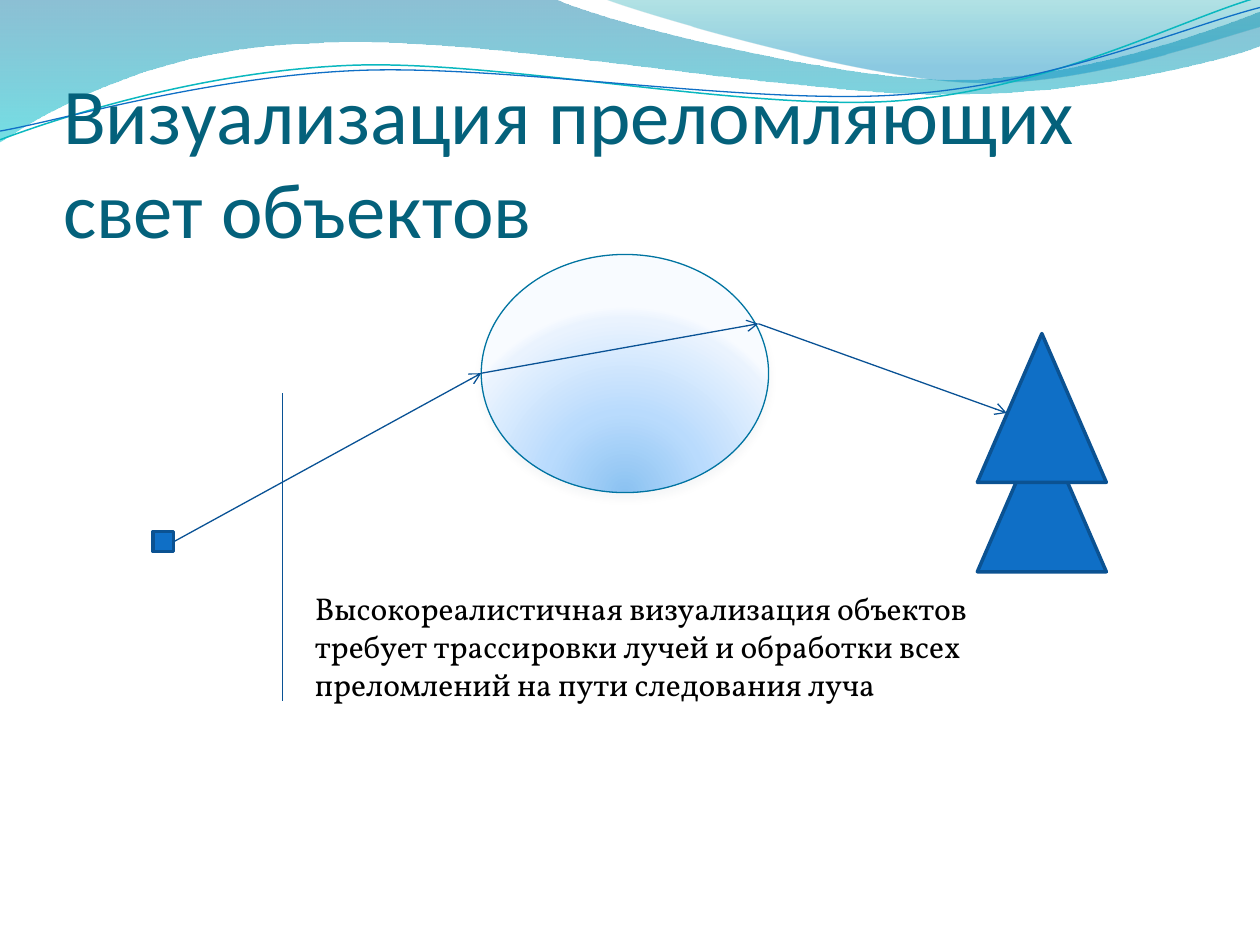
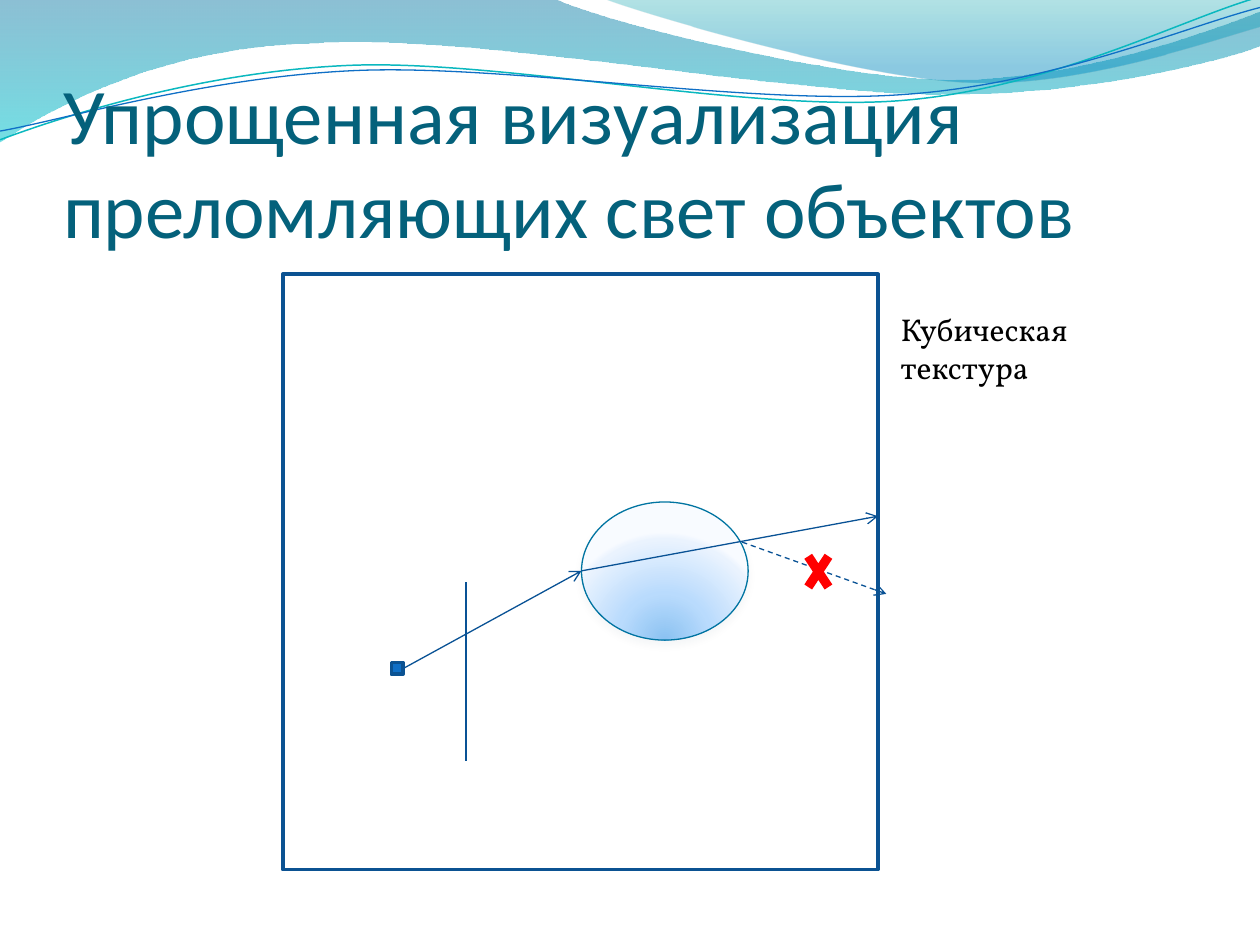
from dataclasses import dataclass
from math import cos, radians, sin

from lxml import etree
from pptx import Presentation
from pptx.dml.color import RGBColor as RGB
from pptx.enum.dml import MSO_LINE as Dash
from pptx.enum.shapes import MSO_CONNECTOR as Conn, MSO_SHAPE as Shape
from pptx.enum.text import MSO_ANCHOR as Anchor, MSO_AUTO_SIZE as AutoSize
from pptx.oxml.ns import qn
from pptx.util import Pt


@dataclass(frozen=True)
class Theme:
    title: str = "04617B"
    text: str = "000000"
    solid: str = "0F6FC6"
    edge: str = "0B5292"
    ray: str = "095295"
    rim: str = "0074A1"
    shadow: str = "00374C"
    ribbon: str = "0AB8BF"
    reject: str = "FF0000"
    title_font: str = "Calibri"
    body_font: str = "Vollkorn"
    title_size: float = 45
    body_size: float = 18
    thin: float = 0.75
    thick: float = 2
    wave_stops: tuple = ((0, "0074A1", 45), (100, "00C6CF", 55))
    crest_stops: tuple = ((0, "00A1A9", 30), (80, "008BBF", 45))
    lens_stops: tuple = ((0, "8BC2F1", 100), (43, "B9DBFD", 100),
                         (93, "EAF3FE", 100), (100, "F8FBFF", 100))


T = Theme()

WAVE = [(0, 0), (316.8, -0.7), (342.7, 12.2, 478.1, 45.4, 545.8, 45.4),
        (614.2, 45.4, 689.8, 18.7, 720, 6.5), (720.7, 25.9),
        (707.8, 31.7, 626.4, 54.7, 537.1, 54), (447.8, 54, 275, 20.2, 185, 24.5),
        (92.9, 25.9, 33.1, 59.8, -0.7, 81.4), (0, 0)]
CREST = [(344.9, -0.7), (366.5, 7.9, 491, 44.6, 553.7, 46.8),
         (616.3, 49.7, 691.9, 23, 720, 15.1), (720, 0), (344.9, -0.7)]
UPPER_RIBBON = [(0, 79.9), (34.6, 67, 113.8, 41, 199.4, 37.4),
                (284.4, 33.8, 427, 64.1, 513.4, 57.6),
                (599.8, 51.1, 675.4, 10.8, 718.6, -1.4)]
LOWER_RIBBON = [(0, 74.9), (33.8, 69.1, 118.1, 43.9, 203.8, 40.3),
                (290.2, 36.7, 429.8, 60.5, 516.2, 54),
                (601.9, 48.2, 677.5, 15.1, 720, 4.3)]
RIBBON_TILT = -2.7
RIBBON_CENTER = (360, 42)


def sub(parent, tag, **attrs):
    return etree.SubElement(parent, qn(tag), {k: str(v) for k, v in attrs.items()})


def add_color(parent, color, opacity=100):
    clr = sub(parent, "a:srgbClr", val=color)
    if opacity < 100:
        sub(clr, "a:alpha", val=opacity * 1000)


def gradient(sp, stops, radial=False):
    sp.fill.gradient()
    grad = sp.element.spPr.find(qn("a:gradFill"))
    for child in list(grad):
        grad.remove(child)
    gs_list = sub(grad, "a:gsLst")
    for pos, color, opacity in stops:
        add_color(sub(gs_list, "a:gs", pos=pos * 1000), color, opacity)
    if radial:
        circle = sub(grad, "a:path", path="circle")
        sub(circle, "a:fillToRect", l=50000, t=130000, r=50000, b=-30000)
    else:
        sub(grad, "a:lin", ang=5400000, scaled=1)


def outline(sp, color, width):
    sp.line.color.rgb = RGB.from_string(color)
    sp.line.width = Pt(width)


def untilt(x, y, tilt):
    a = radians(-tilt)
    cx, cy = RIBBON_CENTER
    return (Pt(cx + (x - cx) * cos(a) - (y - cy) * sin(a)),
            Pt(cy + (x - cx) * sin(a) + (y - cy) * cos(a)))


def add_curve(s, segments, stops=None, line=None, width=T.thin, tilt=0):
    segments = [[untilt(*seg[i:i + 2], tilt) for i in range(0, len(seg), 2)]
                for seg in segments]
    knots = [seg[-1] for seg in segments]
    builder = s.shapes.build_freeform(*knots[0])
    builder.add_line_segments(knots[1:], close=bool(stops))
    sp = builder.convert_to_shape()
    outline_path = next(sp.element.iter(qn("a:path")))
    for node, seg in zip(list(outline_path)[1:], segments[1:]):
        if len(seg) == 3:
            bezier = etree.Element(qn("a:cubicBezTo"))
            for x, y in seg:
                sub(bezier, "a:pt", x=x - sp.left, y=y - sp.top)
            outline_path.replace(node, bezier)
    sp.rotation = tilt
    sp.shadow.inherit = False
    if stops:
        gradient(sp, stops)
        sp.line.fill.background()
    else:
        sp.fill.background()
        outline(sp, line, width)


def add_shape(s, kind, x, y, w, h, fill=None, line=None, width=T.thick):
    sp = s.shapes.add_shape(kind, Pt(x), Pt(y), Pt(w), Pt(h))
    sp.shadow.inherit = False
    if fill:
        sp.fill.solid()
        sp.fill.fore_color.rgb = RGB.from_string(fill)
    else:
        sp.fill.background()
    if line:
        outline(sp, line, width)
    else:
        sp.line.fill.background()
    return sp


def add_line(s, start, end, arrow=True, dash=None):
    c = s.shapes.add_connector(Conn.STRAIGHT, *(Pt(v) for v in (*start, *end)))
    outline(c, T.ray, T.thin)
    if dash:
        c.line.dash_style = dash
    spPr = c.element.spPr
    if arrow:
        sub(spPr.find(qn("a:ln")), "a:tailEnd", type="arrow")
    sub(spPr, "a:effectLst")


def add_text(s, text, x, y, w, h, font=T.body_font, size=T.body_size, color=T.text,
             anchor=Anchor.TOP, insets=(7.2, 3.6, 7.2, 3.6), grow=True):
    tf = s.shapes.add_textbox(Pt(x), Pt(y), Pt(w), Pt(h)).text_frame
    tf.word_wrap = True
    tf.auto_size = AutoSize.SHAPE_TO_FIT_TEXT if grow else AutoSize.NONE
    tf.vertical_anchor = anchor
    tf.margin_left, tf.margin_top, tf.margin_right, tf.margin_bottom = map(Pt, insets)
    r = tf.paragraphs[0].add_run()
    r.text = text
    r.font.name = font
    r.font.size = Pt(size)
    r.font.color.rgb = RGB.from_string(color)


def add_lens(s, x, y, w, h):
    sp = add_shape(s, Shape.OVAL, x, y, w, h, line=T.rim, width=T.thin)
    gradient(sp, T.lens_stops, radial=True)
    effects = sp.element.spPr.find(qn("a:effectLst"))
    shadow = sub(effects, "a:outerShdw", blurRad=Pt(4.5), dist=Pt(3),
                 dir=5400000, rotWithShape=0)
    add_color(shadow, T.shadow, 3)


def add_scene(s, scale=1, dx=0, dy=0):
    def place(x, y):
        return x * scale + dx, y * scale + dy

    camera = 11.5 * scale
    add_shape(s, Shape.RECTANGLE, *place(87.6, 303.7), camera, camera, T.solid, T.edge)
    add_line(s, place(161.3, 224.6), place(161.3, 400.5), arrow=False)
    add_lens(s, *place(275, 145.4), 164.2 * scale, 136.1 * scale)
    eye, entry, leave, target = (place(*p) for p in (
        (99.2, 309.6), (275, 213.3), (433.4, 185), (575.3, 236)))
    add_line(s, eye, entry)
    return entry, leave, target


def new_slide(prs, title):
    s = prs.slides.add_slide(prs.slide_layouts[6])
    add_curve(s, WAVE, T.wave_stops)
    add_curve(s, CREST, T.crest_stops)
    add_curve(s, UPPER_RIBBON, line=T.ribbon, width=0.85, tilt=RIBBON_TILT)
    add_curve(s, LOWER_RIBBON, line=T.solid, tilt=RIBBON_TILT)
    add_text(s, title, 36, 55.4, 653.8, 90, font=T.title_font, size=T.title_size,
             color=T.title, anchor=Anchor.BOTTOM, insets=(0, 3.6, 0, 0), grow=False)
    return s


def ray_tracing_slide(prs):
    s = new_slide(prs, "Визуализация преломляющих свет объектов")
    entry, leave, target = add_scene(s)
    add_line(s, entry, leave)
    add_line(s, leave, target)
    for tier_top in (241.7, 190.6):
        add_shape(s, Shape.FLOWCHART_EXTRACT, 558.5, tier_top, 73.7, 85, T.solid, T.edge)
    add_text(s, "Высокореалистичная визуализация объектов требует трассировки лучей "
             "и обработки всех преломлений на пути следования луча",
             172.8, 333.1, 414, 72.7)


def cube_map_slide(prs):
    s = new_slide(prs, "Упрощенная визуализация преломляющих свет объектов")
    entry, leave, target = add_scene(s, 0.58, 172.8, 202.5)
    add_line(s, entry, (501.8, 295))
    add_line(s, leave, target, dash=Dash.DASH)
    add_shape(s, Shape.RECTANGLE, 161.6, 156.7, 340.2, 340.2, line=T.edge)
    add_text(s, "Кубическая текстура", 507.6, 173.5, 185.8, 28.8,
             insets=(7.2, 3.6, 40, 3.6))
    add_shape(s, Shape.MATH_MULTIPLY, 456.5, 309.8, 22.3, 33.8, T.reject)


def main():
    prs = Presentation()
    prs.slide_width, prs.slide_height = Pt(720), Pt(540)
    ray_tracing_slide(prs)
    cube_map_slide(prs)
    prs.save("out.pptx")


if __name__ == "__main__":
    main()
